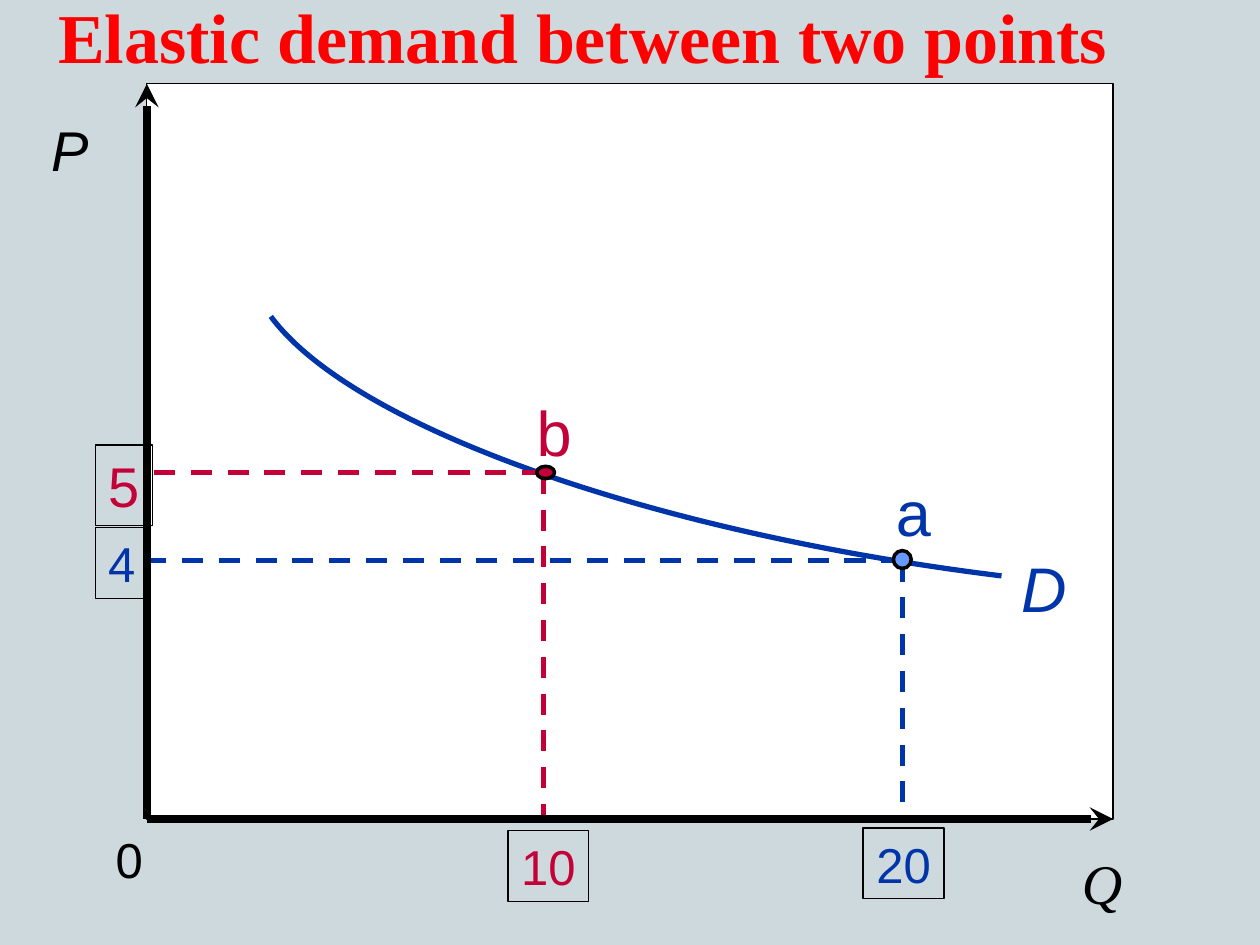
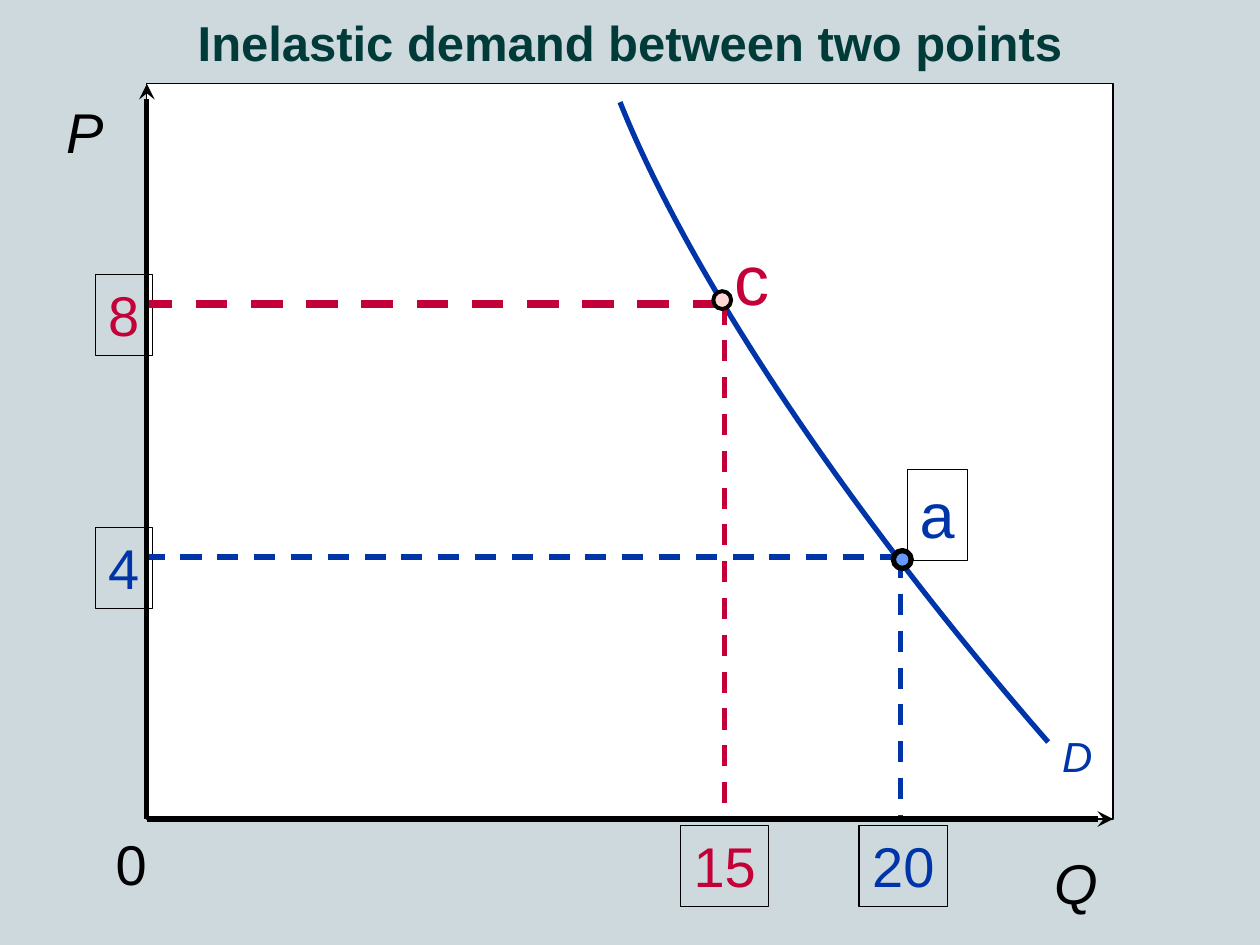
from lxml import etree
from pptx import Presentation
from pptx.dml.color import RGBColor
from pptx.enum import dml, shapes, text
from pptx.oxml import parse_xml
from pptx.oxml.ns import qn
from pptx.util import Cm, Pt

A_NS = 'xmlns:a="http://schemas.openxmlformats.org/drawingml/2006/main"'
TITLE_SHADOW = (
    f'<a:effectLst {A_NS}><a:outerShdw blurRad="50800" dist="38100" dir="2700000">'
    '<a:srgbClr val="000000"/></a:outerShdw></a:effectLst>'
)
BACKGROUND, WHITE, BLACK = "CED9DE", "FFFFFF", "000000"
BLUE, CRIMSON = "0035AA", "C40038"
LEFT, TOP, RIGHT, BOTTOM = 2.96, 1.69, 22.44, 16.51  # plot area, in cm
PRICE_X = 1.93
hex_color = RGBColor.from_string


def add_label(slide, words, x, y, width, size, color=BLACK, font="Arial",
              italic=False, boxed=False, centred=False):
    """Add a one-line label whose height follows from its text size."""
    label = slide.shapes.add_textbox(Cm(x), Cm(y), Cm(width), Cm(0.05 * size + 0.03))
    if boxed:
        label.line.color.rgb = hex_color(BLACK)
        label.line.width = Pt(0.75)
    frame = label.text_frame
    frame.text = words
    frame.word_wrap = False
    frame.auto_size = text.MSO_AUTO_SIZE.SHAPE_TO_FIT_TEXT
    paragraph = frame.paragraphs[0]
    paragraph.space_before = Pt(3)
    paragraph.alignment = text.PP_ALIGN.CENTER if centred else text.PP_ALIGN.LEFT
    style = paragraph.runs[0].font
    style.size, style.italic, style.name = Pt(size), italic, font
    style.color.rgb = hex_color(color)


def add_line(slide, start, end, color, width, dashed=False, arrow=None):
    """Add a straight line; arrow is headEnd, tailEnd or None."""
    line = slide.shapes.add_connector(
        shapes.MSO_CONNECTOR.STRAIGHT, *map(Cm, start), *map(Cm, end))
    line.line.color.rgb = hex_color(color)
    line.line.width = Pt(width)
    if dashed:
        line.line.dash_style = dml.MSO_LINE.DASH
    if arrow:
        etree.SubElement(line.line._get_or_add_ln(), qn("a:" + arrow), type="stealth")
    etree.SubElement(line._element.spPr, qn("a:effectLst"))


# Label tuples hold words, x, y, width, size; points hold their corner and dot in cm.
diagrams = [
    dict(
        title=("Elastic demand between two points", 23.5, 1.68, 40, "Times New Roman", "FF0000"),
        curve=[(20.19, 11.61), (13.13, 10.74), (7.11, 8.61), (5.46, 6.38)],
        axis_width=4.5,
        axis_labels=[("P", 0.79, 2.21, 1.27, 32, BLACK, "Arial", True),
                     ("Q", 21.56, 16.99, 1.35, 32, BLACK, "Times New Roman", True),
                     ("0", 2.08, 16.59, 1.07, 28),
                     ("D", 20.35, 10.95, 1.45, 36, BLUE, "Arial", True)],
        points=[
            dict(color=BLUE, corner=(18.19, 11.3), guide_width=3,
                 price=("4", PRICE_X, 10.64, 1.07, 28), quantity=("20", 17.4, 16.69, 1.63, 28),
                 name=("a", 17.81, 9.42, 1.22, 36), name_boxed=False,
                 dot=(18.01, 11.1, 0.36, 0.36), dot_fill="6699FF", dot_line=2),
            dict(color=CRIMSON, corner=(10.95, 9.53), guide_width=3,
                 price=("5", PRICE_X, 8.97, 1.14, 32), quantity=("10", 10.24, 16.74, 1.63, 28),
                 name=("b", 10.57, 7.8, 1.22, 36), name_boxed=False,
                 dot=(10.82, 9.4, 0.36, 0.25), dot_fill=CRIMSON, dot_line=2),
        ],
    ),
    dict(
        title=("Inelastic demand between two points", 25.4, 1.57, 28, "Arial", "003B3A"),
        curve=[(21.13, 14.96), (17.02, 10.24), (13.87, 5.49), (12.5, 2.06)],
        axis_width=3,
        axis_labels=[("P", 1.09, 1.85, 2.21, 32, BLACK, "Arial", True),
                     ("Q", 21.01, 16.99, 1.4, 32, BLACK, "Arial", True),
                     ("0", 2.08, 16.59, 1.14, 32),
                     ("D", 21.16, 14.61, 1.12, 24, BLUE, "Arial", True)],
        points=[
            dict(color=BLUE, corner=(18.16, 11.23), guide_width=3,
                 price=("4", PRICE_X, 10.64, 1.14, 32), quantity=("20", 17.32, 16.64, 1.78, 32),
                 name=("a", 18.29, 9.47, 1.22, 36), name_boxed=True,
                 dot=(18.01, 11.1, 0.36, 0.36), dot_fill="6699FF", dot_line=3),
            dict(color=CRIMSON, corner=(14.6, 6.12), guide_width=4.5,
                 price=("8", PRICE_X, 5.54, 1.14, 32), quantity=("15", 13.72, 16.64, 1.78, 32),
                 name=("c", 14.55, 4.62, 1.22, 40), name_boxed=False,
                 dot=(14.38, 5.87, 0.36, 0.36), dot_fill="FFD5D5", dot_line=2.25),
        ],
    ),
]

prs = Presentation()
prs.slide_width, prs.slide_height = Cm(25.4), Cm(19.05)

for diagram in diagrams:
    slide = prs.slides.add_slide(prs.slide_layouts[6])
    slide.background.fill.solid()
    slide.background.fill.fore_color.rgb = hex_color(BACKGROUND)

    plot = slide.shapes.add_shape(shapes.MSO_SHAPE.RECTANGLE, Cm(LEFT), Cm(TOP),
                                  Cm(RIGHT - LEFT), Cm(BOTTOM - TOP))
    plot.shadow.inherit = False
    plot.fill.solid()
    plot.fill.fore_color.rgb = hex_color(WHITE)
    plot.line.color.rgb = hex_color(BLACK)
    plot.line.width = Pt(0.75)

    # The demand curve: its inner points become the controls of one Bézier segment.
    start, *controls = [(Cm(x), Cm(y)) for x, y in diagram["curve"]]
    builder = slide.shapes.build_freeform(*start)
    builder.add_line_segments(controls, close=False)
    demand = builder.convert_to_shape()
    demand.shadow.inherit = False
    demand.fill.background()
    demand.line.color.rgb = hex_color(BLUE)
    demand.line.width = Pt(3)
    outline = demand._element.find(".//" + qn("a:path"))
    segments = outline.findall(qn("a:lnTo"))
    bezier = etree.SubElement(outline, qn("a:cubicBezTo"))
    for segment in segments:
        bezier.append(segment[0])
        outline.remove(segment)

    for point in diagram["points"]:
        x, y = point["corner"]
        color = point["color"]
        add_label(slide, *point["price"], color, boxed=True)
        add_label(slide, *point["quantity"], color, boxed=True, centred=True)
        add_line(slide, (x, y), (LEFT, y), color, point["guide_width"], dashed=True)
        add_line(slide, (x, y), (x, BOTTOM), color, 3, dashed=True)
        add_label(slide, *point["name"], color, boxed=point["name_boxed"])

    width = diagram["axis_width"]
    add_line(slide, (LEFT, TOP), (LEFT, BOTTOM), BLACK, width, arrow="headEnd")
    add_line(slide, (LEFT, BOTTOM), (RIGHT, BOTTOM), BLACK, width, arrow="tailEnd")
    for axis_label in diagram["axis_labels"]:
        add_label(slide, *axis_label)

    for point in diagram["points"]:
        dot = slide.shapes.add_shape(shapes.MSO_SHAPE.OVAL, *map(Cm, point["dot"]))
        dot.shadow.inherit = False
        dot.fill.solid()
        dot.fill.fore_color.rgb = hex_color(point["dot_fill"])
        dot.line.color.rgb = hex_color(BLACK)
        dot.line.width = Pt(point["dot_line"])

    words, width, height, size, font, color = diagram["title"]
    title = slide.shapes.add_textbox(0, 0, Cm(width), Cm(height)).text_frame
    title.text = words
    title.word_wrap = True
    title.vertical_anchor = text.MSO_ANCHOR.BOTTOM
    title.paragraphs[0].alignment = text.PP_ALIGN.CENTER
    heading = title.paragraphs[0].runs[0].font
    heading.size, heading.bold, heading.name = Pt(size), True, font
    heading.color.rgb = hex_color(color)
    heading._element.find(qn("a:solidFill")).addnext(parse_xml(TITLE_SHADOW))

prs.save("out.pptx")
